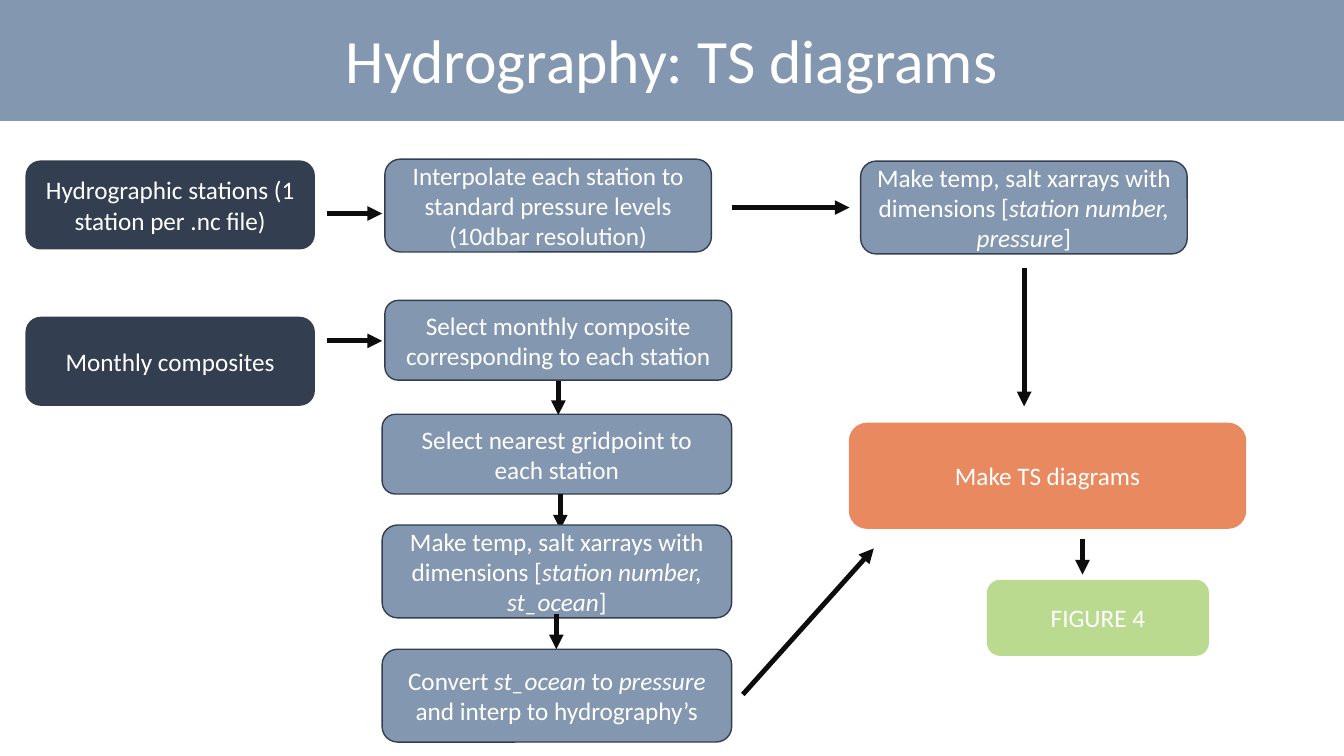
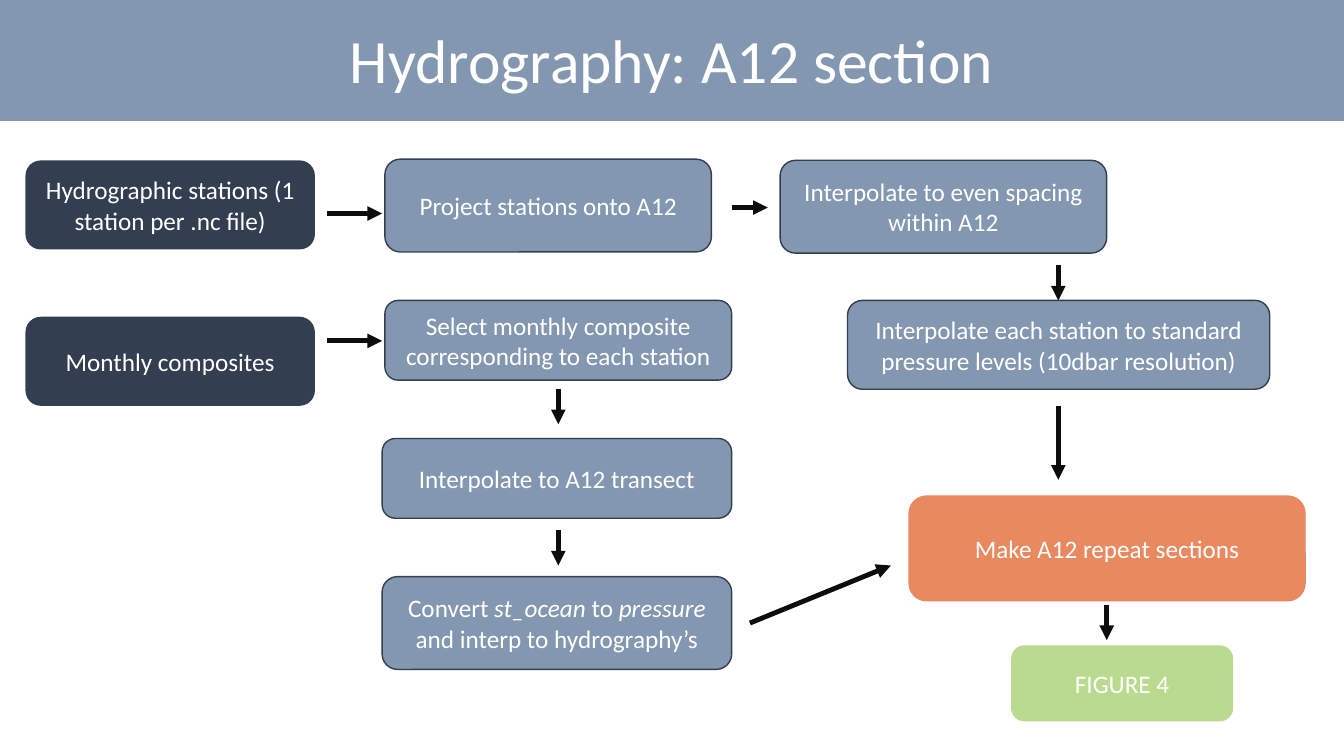
from pptx import Presentation
from pptx.dml.color import RGBColor
from pptx.enum.shapes import MSO_CONNECTOR, MSO_SHAPE
from pptx.enum.text import MSO_ANCHOR, PP_ALIGN
from pptx.oxml.ns import qn
from pptx.util import Cm, Pt
from lxml import etree

RECTANGLE = MSO_SHAPE.RECTANGLE
ROUNDED = MSO_SHAPE.ROUNDED_RECTANGLE
STRAIGHT = MSO_CONNECTOR.STRAIGHT
CENTER = PP_ALIGN.CENTER
MIDDLE = MSO_ANCHOR.MIDDLE

NAVY = RGBColor(0x33, 0x3F, 0x50)
SLATE = RGBColor(0x84, 0x97, 0xB0)
ORANGE = RGBColor(0xE9, 0x89, 0x60)
GREEN = RGBColor(0xB9, 0xDA, 0x8F)
WHITE = RGBColor(0xFF, 0xFF, 0xFF)
BLACK = RGBColor(0x0D, 0x0D, 0x0D)
FONT = "Calibri"

# Styles: shape, fill, outline, text size
TITLE = (RECTANGLE, SLATE, SLATE, 44)
SOURCE = (ROUNDED, NAVY, NAVY, 18)
STEP = (ROUNDED, SLATE, NAVY, 18)
RESULT = (ROUNDED, ORANGE, ORANGE, 18)
FIGURE = (ROUNDED, GREEN, GREEN, 18)

# Box sizes in cm
SOURCE_SIZE = (7.26, 2.21)
TOP_SIZE = (8.23, 2.34)
SELECT_SIZE = (8.74, 2.01)
LOW_SIZE = (8.81, 2.01)
TALL_SIZE = (8.81, 2.34)
RESULT_SIZE = (9.98, 2.64)
FIGURE_SIZE = (5.56, 1.88)

# Column edges in cm
SOURCE_LEFT = 0.66
TOP_LEFT = 9.7
STEP_LEFT = 9.63
STEP_MIDDLE = 14.07


def add_box(page, style, text, left, top, size):
    """Draw a filled box; words between asterisks are italic."""
    kind, fill, outline, points = style
    box = page.shapes.add_shape(kind, Cm(left), Cm(top), *map(Cm, size))
    box.shadow.inherit = False
    box.fill.solid()
    box.fill.fore_color.rgb = fill
    box.line.color.rgb = outline
    box.line.width = Pt(1)
    frame = box.text_frame
    frame.word_wrap = True
    frame.vertical_anchor = MIDDLE
    para = frame.paragraphs[0]
    para.alignment = CENTER
    para.font.name = FONT
    para.font.size = Pt(points)
    para.font.color.rgb = WHITE
    for index, words in enumerate(text.split("*")):
        span = para.add_run()
        span.text = words
        if index % 2:
            span.font.italic = True


def add_arrow(page, *ends):
    """Draw an arrow from x, y to x, y."""
    arrow = page.shapes.add_connector(STRAIGHT, *map(Cm, ends))
    arrow.line.color.rgb = BLACK
    arrow.line.width = Pt(3.5)
    etree.SubElement(arrow.line._get_or_add_ln(), qn("a:tailEnd"), type="triangle")
    etree.SubElement(arrow._element.spPr, qn("a:effectLst"))


deck = Presentation()
deck.slide_width = Cm(33.87)
deck.slide_height = Cm(19.05)

# Shared parts: title band, sources, first and last model steps
pages = []
for title, convert_top in (("TS diagrams", 16.36), ("A12 section", 14.53)):
    page = deck.slides.add_slide(deck.slide_layouts[6])
    pages.append(page)
    add_box(page, TITLE, "Hydrography: " + title, 0, -0.08, (33.87, 3.12))
    add_box(page, SOURCE, "Hydrographic stations (1 station per .nc file)",
            SOURCE_LEFT, 4.06, SOURCE_SIZE)
    add_box(page, SOURCE, "Monthly composites", SOURCE_LEFT, 8, SOURCE_SIZE)
    for height in (5.38, 8.59):
        add_arrow(page, 8.23, height, 9.63, height)
    add_box(page, STEP, "Select monthly composite corresponding to each station",
            TOP_LEFT, 7.57, SELECT_SIZE)
    add_box(page, STEP, "Convert *st_ocean* to *pressure* and interp to hydrography’s",
            STEP_LEFT, convert_top, TALL_SIZE)

diagrams, section = pages

# TS diagrams: stations
add_box(diagrams, STEP,
        "Interpolate each station to standard pressure levels (10dbar resolution)",
        TOP_LEFT, 4.01, TOP_SIZE)
add_arrow(diagrams, 18.44, 5.23, 21.41, 5.23)
add_box(diagrams, STEP,
        "Make temp, salt xarrays with dimensions [*station number, pressure*]",
        21.69, 4.06, TOP_SIZE)
add_arrow(diagrams, 25.81, 6.76, 25.81, 10.24)

# TS diagrams: composites
add_box(diagrams, STEP, "Select nearest gridpoint to each station",
        STEP_LEFT, 10.44, LOW_SIZE)
add_arrow(diagrams, STEP_MIDDLE, 9.6, STEP_MIDDLE, 10.46)
add_arrow(diagrams, 14.12, 12.45, 14.12, 13.34)
add_box(diagrams, STEP,
        "Make temp, salt xarrays with dimensions [*station number, st_ocean*]",
        STEP_LEFT, 13.23, TALL_SIZE)
add_arrow(diagrams, 14.02, 15.47, 14.02, 16.36)
add_arrow(diagrams, 18.72, 17.5, 22.02, 13.82)

# TS diagrams: result
add_box(diagrams, RESULT, "Make TS diagrams", 21.41, 10.67, RESULT_SIZE)
add_arrow(diagrams, 27.28, 13.59, 27.28, 14.48)
add_box(diagrams, FIGURE, "FIGURE 4", 24.89, 14.63, FIGURE_SIZE)

# A12 section: stations
add_box(section, STEP, "Project stations onto A12", TOP_LEFT, 4.01, TOP_SIZE)
add_arrow(section, 18.44, 5.23, 19.35, 5.23)
add_box(section, STEP, "Interpolate to even spacing within A12",
        19.66, 4.04, TOP_SIZE)
add_arrow(section, 26.67, 6.68, 26.67, 7.57)
add_box(section, STEP,
        "Interpolate each station to standard pressure levels (10dbar resolution)",
        21.36, 7.57, (10.64, 2.24))
add_arrow(section, 26.67, 10.24, 26.67, 12.09)

# A12 section: composites
add_arrow(section, STEP_MIDDLE, 9.8, STEP_MIDDLE, 10.69)
add_box(section, STEP, "Interpolate to A12 transect", STEP_LEFT, 11.05, LOW_SIZE)
add_arrow(section, STEP_MIDDLE, 13.36, STEP_MIDDLE, 14.25)
add_arrow(section, 18.9, 15.7, 22.45, 14.25)

# A12 section: result
add_box(section, RESULT, "Make A12 repeat sections", 22.91, 12.5, RESULT_SIZE)
add_arrow(section, 27.89, 15.24, 27.89, 16.13)
add_box(section, FIGURE, "FIGURE 4", 25.5, 16.28, FIGURE_SIZE)

deck.save("out.pptx")
